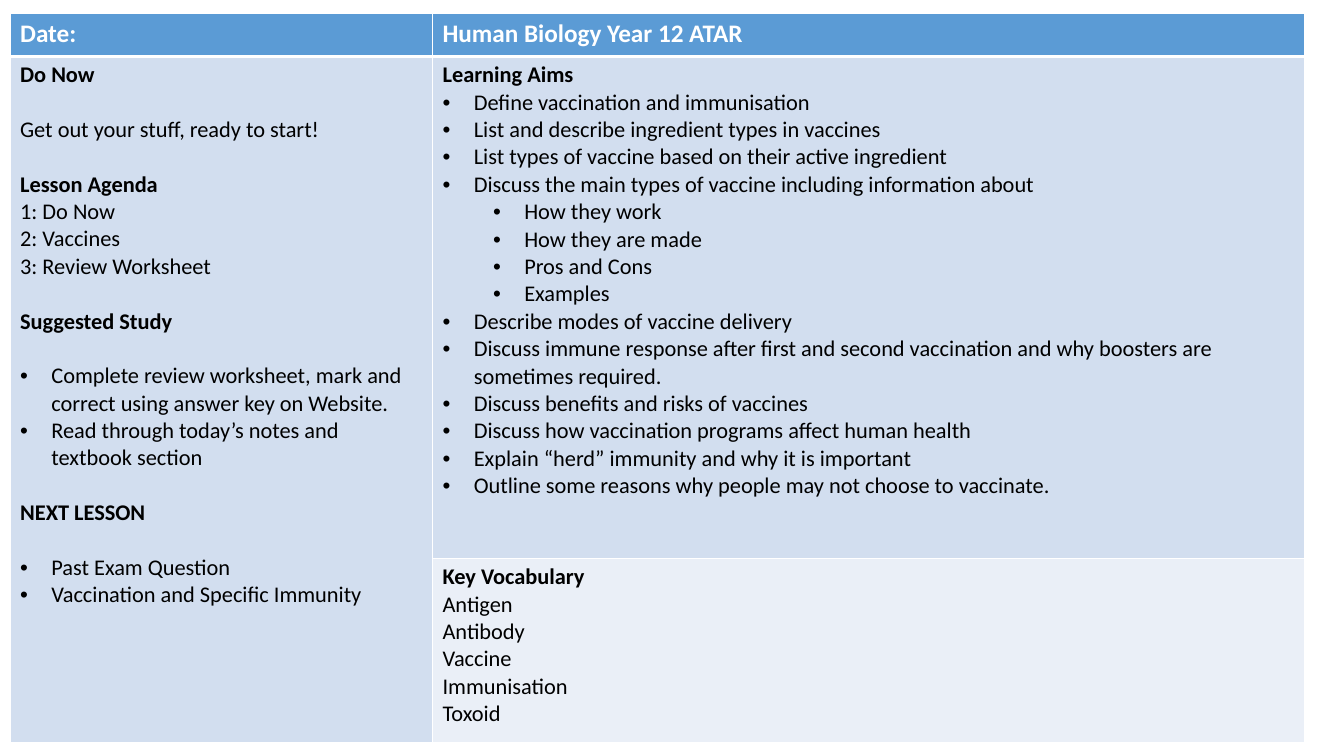
import pptx
import pptx.util
import pptx.dml.color
import pptx.oxml
import pptx.oxml.ns
from dataclasses import dataclass

Inches = pptx.util.Inches
Pt = pptx.util.Pt


@dataclass(frozen=True)
class Theme:
    font: str = "Calibri"
    title: float = 18
    body: float = 16
    gap: float = 19.5
    thin: float = 1
    thick: float = 3
    white: str = "FFFFFF"
    black: str = "000000"
    blue: str = "5B9BD5"
    band: str = "D2DEEF"
    pale: str = "EAEFF7"


THEME = Theme()
INDENT = 0.31
LEVEL = 0.5

STUDY = [
    ("head", "Do Now"),
    ("gap", "Get out your stuff, ready to start!"),
    ("gap head", "Lesson Agenda"),
    ("", "1: Do Now"),
    ("", "2: Vaccines"),
    ("", "3: Review Worksheet"),
    ("gap head", "Suggested Study"),
    ("gap dot", "Complete review worksheet, mark and correct using answer key on Website."),
    ("dot", "Read through today’s notes and textbook section"),
    ("gap head", "NEXT LESSON"),
    ("gap dot", "Past Exam Question"),
    ("dot", "Vaccination and Specific Immunity"),
]
AIMS = [
    ("head", "Learning Aims"),
    ("dot", "Define vaccination and immunisation"),
    ("dot", "List and describe ingredient types in vaccines"),
    ("dot", "List types of vaccine based on their active ingredient"),
    ("dot", "Discuss the main types of vaccine including information about"),
    ("sub", "How they work"),
    ("sub", "How they are made"),
    ("sub", "Pros and Cons"),
    ("sub", "Examples"),
    ("dot", "Describe modes of vaccine delivery"),
    ("dot", "Discuss immune response after first and second vaccination "
            "and why boosters are sometimes required."),
    ("dot", "Discuss benefits and risks of vaccines"),
    ("dot", "Discuss how vaccination programs affect human health"),
    ("dot", "Explain “herd” immunity and why it is important"),
    ("dot", "Outline some reasons why people may not choose to vaccinate."),
]
WORDS = [("head", "Key Vocabulary")] + [
    ("", word) for word in ("Antigen", "Antibody", "Vaccine", "Immunisation", "Toxoid")
]


def color(code):
    return pptx.dml.color.RGBColor.from_string(code)


def add_dot(para, level):
    para.level = level
    props = para._p.get_or_add_pPr()
    props.set("marL", str(Inches(INDENT + LEVEL * level)))
    props.set("indent", str(-Inches(INDENT)))
    names = pptx.oxml.ns.nsdecls("a")
    props.append(pptx.oxml.parse_xml(f'<a:buFont {names} typeface="Arial"/>'))
    props.append(pptx.oxml.parse_xml(f'<a:buChar {names} char="•"/>'))


def write(cell, lines, size, ink):
    frame = cell.text_frame
    for pos, (style, text) in enumerate(lines):
        para = frame.add_paragraph() if pos else frame.paragraphs[0]
        para.text = text
        marks = style.split()
        if "dot" in marks or "sub" in marks:
            add_dot(para, int("sub" in marks))
        if "gap" in marks:
            para.space_before = Pt(THEME.gap)
        font = para.font
        font.name = THEME.font
        font.size = Pt(size)
        font.bold = "head" in marks
        font.color.rgb = color(ink)


def set_cell(cell, fill, top, bottom):
    props = cell._tc.get_or_add_tcPr()
    names = pptx.oxml.ns.nsdecls("a")
    for side, width in zip("LRTB", (THEME.thin, THEME.thin, top, bottom)):
        props.append(pptx.oxml.parse_xml(
            f'<a:ln{side} {names} w="{Pt(width)}"><a:solidFill>'
            f'<a:srgbClr val="{THEME.white}"/></a:solidFill></a:ln{side}>'))
    cell.fill.solid()
    cell.fill.fore_color.rgb = color(fill)


def add_plan(slide, left, top, cols, rows):
    grid = slide.shapes.add_table(
        len(rows), len(cols), Inches(left), Inches(top),
        Inches(sum(cols)), Inches(sum(rows))).table
    for col, width in zip(grid.columns, cols):
        col.width = Inches(width)
    for row, height in zip(grid.rows, rows):
        row.height = Inches(height)

    fills = [(THEME.blue, THEME.blue), (THEME.band, THEME.band), (THEME.band, THEME.pale)]
    tops = [THEME.thin, THEME.thick, THEME.thin]
    ends = [THEME.thick, THEME.thin, THEME.thin]
    for row, pair in enumerate(fills):
        for col, fill in enumerate(pair):
            set_cell(grid.cell(row, col), fill, tops[row], ends[row])

    grid.cell(1, 0).merge(grid.cell(2, 0))
    for col, text in enumerate(("Date:", "Human Biology Year 12 ATAR")):
        write(grid.cell(0, col), [("head", text)], THEME.title, THEME.white)
    for row, col, lines in ((1, 0, STUDY), (1, 1, AIMS), (2, 1, WORDS)):
        write(grid.cell(row, col), lines, THEME.body, THEME.black)


def main():
    deck = pptx.Presentation()
    deck.slide_width = Inches(13.33)
    deck.slide_height = Inches(7.5)
    slide = deck.slides.add_slide(deck.slide_layouts[6])
    add_plan(slide, 0.1, 0.13, (4.19, 8.65), (0.43, 4.98, 1.83))
    deck.save("out.pptx")


if __name__ == "__main__":
    main()
